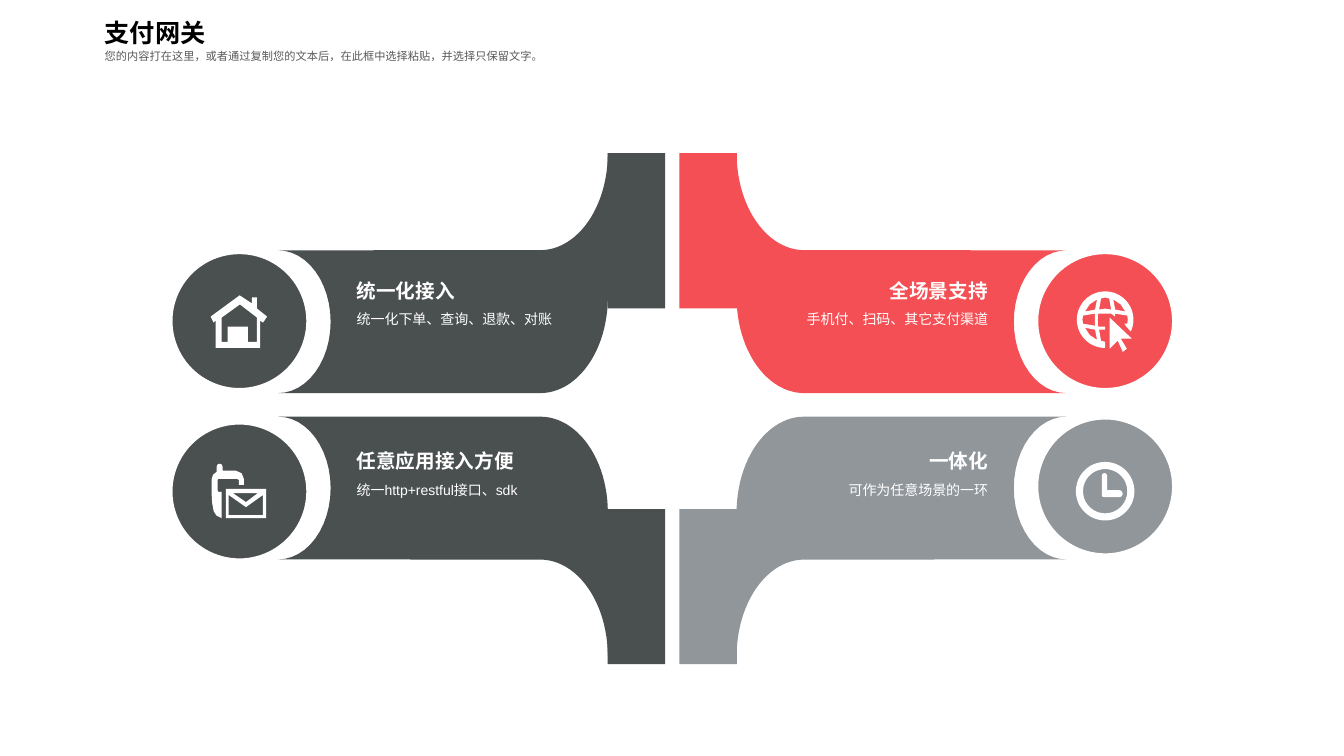
from math import cos, radians, sin

from lxml import etree
from pptx import Presentation
from pptx.dml.color import RGBColor
from pptx.enum.shapes import MSO_SHAPE
from pptx.enum.text import MSO_ANCHOR, PP_ALIGN
from pptx.oxml.ns import qn
from pptx.util import Pt

RECTANGLE = MSO_SHAPE.RECTANGLE
OVAL = MSO_SHAPE.OVAL
TOP = MSO_ANCHOR.TOP
MIDDLE = MSO_ANCHOR.MIDDLE
LEFT = PP_ALIGN.LEFT
RIGHT = PP_ALIGN.RIGHT

WHITE = RGBColor(0xFF, 0xFF, 0xFF)
BLACK = RGBColor(0x00, 0x00, 0x00)
GRAY_TEXT = RGBColor(0x59, 0x59, 0x59)
DARK = RGBColor(0x4A, 0x4F, 0x4F)
RED = RGBColor(0xF4, 0x4F, 0x54)
GRAY = RGBColor(0x91, 0x96, 0x9B)

LATIN = "Arial"
CHINESE = "Noto Sans CJK SC"

CENTER_X, CENTER_Y = 480.2, 289.2
CIRCLE = 100.1


def arc(x, y, radius_x, radius_y, start, end, steps=24):
    angles = [radians(start + (end - start) * i / steps) for i in range(steps + 1)]
    return [(x + radius_x * cos(a), y + radius_y * sin(a)) for a in angles]


RIBBON = (
    arc(94.3, 76.8, 48.3, 68.4, 180, 270)
    + arc(281.5, 59.4, 37.5, 51, 270, 90)
    + arc(94.3, 179.7, 48.3, 69.2, 270, 180)
)

HOUSE = [
    [(19.8, -3.2), (12.6, -9), (12.6, -16.9), (9, -16.9), (9, -12.6), (0.2, -18.4),
     (-20.5, -3.2), (-18.4, 1.1), (-16.9, -0.4), (-16.9, 19.1), (14.8, 19.1),
     (14.8, -0.4), (16.9, 1.1)],
    [(12.6, 14.8), (6.1, 14.8), (6.1, 4), (-8.3, 4), (-8.3, 14.8), (-12.6, 14.8),
     (-12.6, -2.5), (0.4, -11.9), (12.6, -2.5)],
]
ENVELOPE = [
    [(-9.7, -1.8), (-9.7, 19.1), (19.1, 19.1), (19.1, -1.8)],
    [(13.3, 1.1), (4.7, 7.6), (-4.7, 1.1)],
    [(16.9, 16.9), (-7.6, 16.9), (-7.6, 2.5), (4.7, 11.2), (16.9, 2.5)],
]
PHONE = [
    [(-15.5, -0.4), (-15.5, -8.3), (-14.8, -9), (-1.8, -9), (-0.4, -8.3),
     (-0.4, -4.7), (3.2, -4.7), (3.2, -9), (1.6, -13), (-2.5, -14.8),
     (-11.9, -14.8), (-11.9, -17.6), (-12.7, -19.3), (-14.2, -19.8),
     (-15.6, -19.3), (-16.2, -17.6), (-16.2, -14), (-18.8, -12), (-19.8, -9),
     (-19.8, 2.5), (-19.4, 8.5), (-18.4, 14), (-16.4, 17.2), (-12.6, 19.1),
     (-12.6, 0.4), (-14.8, 0.4)],
]
GLOBE = [
    arc(0, 0, 20.2, 20.2, 24.7, -270, 48)
    + [(0, 15.8), (-2.9, 15.1), (-4.3, 7.2), (0, 7.2), (0, 5), (-5, 5), (-5.3, 0),
       (-5, -4.3), (4.3, -4.3), (7.2, -2.2), (7.2, -4.3), (15.8, -2.9), (16.2, 0),
       (15.8, 2.9), (13.7, 2.9), (15.1, 5)],
    [(-5.8, -14.4), (-7.2, -7.2), (-14.4, -5.8), (-11, -11)],
    [(5.8, -14.4), (7.2, -7.2), (14.4, -5.8), (11, -11)],
    [(-5.8, 14.4), (-7.2, 7.2), (-14.4, 5.8), (-11, 11)],
    [(-7.2, 4.3), (-15.8, 2.9), (-16.2, 0), (-15.8, -2.9), (-7.2, -4.3), (-7.4, 0)],
    [(0, -7.9), (-4.3, -7.2), (-2.9, -15.1), (0, -15.8), (2.9, -15.1), (4.3, -7.2)],
]
CURSOR = [
    [(3.2, -2.5), (3.2, 19.8), (9, 14), (12.6, 22), (15.5, 19.8), (11.2, 12.6),
     (19.1, 12.6)],
]
CLOCK_RING = [arc(0, 0, 20.9, 20.9, 0, 360, 60), arc(0, 0, 15.8, 15.8, 0, 360, 60)]
CLOCK_HANDS = [
    arc(-0.5, -11, 1.9, 1.9, 180, 360, 8)
    + arc(10, 1.8, 2.5, 2.5, -90, 90, 8)
    + [(-0.7, 4.3), (-2, 3.8), (-2.4, 2.6)],
]
CLOCK_HANDS[0].insert(9, (1.4, -0.7))

BRANCHES = [
    (-1, -1, DARK, 109.4, 179.3, 195.1, "统一化接入", "统一化下单、查询、退款、对账",
     [(HOUSE, 0)]),
    (-1, 1, DARK, 363.6, 301, 316.8, "任意应用接入方便", "统一http+restful接口、sdk",
     [(ENVELOPE, 0), (PHONE, 0)]),
    (1, -1, RED, 109.4, 179.3, 195.1, "全场景支持", "手机付、扫码、其它支付渠道",
     [(CURSOR, 0), (GLOBE, -1)]),
    (1, 1, GRAY, 363.6, 297.4, 316.8, "一体化", "可作为任意场景的一环",
     [(CLOCK_RING, 3.4), (CLOCK_HANDS, 3.4)]),
]


class SlideBuilder:
    def __init__(self, slide):
        self.slide = slide

    def paint(self, shape, color, outline=None):
        shape.shadow.inherit = False
        shape.fill.solid()
        shape.fill.fore_color.rgb = color
        if outline is None:
            shape.line.fill.background()
        else:
            shape.line.color.rgb = outline
            shape.line.width = Pt(4.5)

    def preset(self, kind, left, top, width, height, color, outline=None):
        shape = self.slide.shapes.add_shape(
            kind, Pt(left), Pt(top), Pt(width), Pt(height))
        self.paint(shape, color, outline)

    def outline(self, contours, x, y, color, flip_x=1, flip_y=1):
        placed = [[(Pt(x + flip_x * dx), Pt(y + flip_y * dy)) for dx, dy in contour]
                  for contour in contours]
        builder = self.slide.shapes.build_freeform(*placed[0][0])
        for index, contour in enumerate(placed):
            if index:
                builder.move_to(*contour[0])
            builder.add_line_segments(contour[1:], close=True)
        self.paint(builder.convert_to_shape(), color)

    def text(self, text, left, top, width, height, size, color, font=LATIN, bold=False,
             align=LEFT, anchor=TOP, spacing=1.0, insets=(7.2, 3.6, 7.2, 3.6)):
        shape = self.slide.shapes.add_textbox(Pt(left), Pt(top), Pt(width), Pt(height))
        frame = shape.text_frame
        frame.word_wrap = True
        frame.vertical_anchor = anchor
        frame.margin_left, frame.margin_top, frame.margin_right, frame.margin_bottom = (
            Pt(inset) for inset in insets)
        frame.text = text
        paragraph = frame.paragraphs[0]
        paragraph.alignment = align
        paragraph.line_spacing = spacing
        run = paragraph.runs[0]
        run.font.name = font
        run.font.size = Pt(size)
        run.font.bold = bold
        run.font.color.rgb = color
        east_asian = etree.SubElement(run.font._element, qn("a:ea"))
        east_asian.set("typeface", CHINESE)

    def branch(self, side, level, color, bar_top, circle_top, heading_top,
               heading, body, icons):
        self.outline([RIBBON], CENTER_X, CENTER_Y, color, side, level)
        bar_left = CENTER_X + 5 if side > 0 else CENTER_X - 46.2
        self.preset(RECTANGLE, bar_left, bar_top, 41.2, 110.9, color)

        circle_x = CENTER_X + side * 309.2
        circle_y = circle_top + CIRCLE / 2
        self.preset(OVAL, circle_x - CIRCLE / 2, circle_top, CIRCLE, CIRCLE, color, WHITE)
        for contours, shift in icons:
            self.outline(contours, circle_x, circle_y + shift, WHITE)

        left, width, align, insets = (
            (509.8, 229.7, RIGHT, (28.1, 0, 33.8, 0)) if side > 0
            else (221, 226.8, LEFT, (33.8, 0, 28.1, 0)))
        self.text(heading, left, heading_top, width, 24.5, 14, WHITE, bold=True,
                  align=align, anchor=MIDDLE, insets=insets)
        self.text(body, left, heading_top + 24.5, width, 43.9, 10, WHITE,
                  align=align, spacing=1.2, insets=insets)


def main():
    presentation = Presentation()
    presentation.slide_width = Pt(960)
    presentation.slide_height = Pt(540)
    slide = presentation.slides.add_slide(presentation.slide_layouts[6])
    builder = SlideBuilder(slide)
    for branch in BRANCHES:
        builder.branch(*branch)
    builder.text("支付网关", 67.7, 2.2, 256.3, 35.3, 18, BLACK, CHINESE, True, spacing=1.3)
    builder.text("您的内容打在这里，或者通过复制您的文本后，在此框中选择粘贴，并选择只保留文字。",
                 67.7, 26.6, 450.7, 21.6, 8, GRAY_TEXT, CHINESE, spacing=1.5)
    presentation.save("out.pptx")


if __name__ == "__main__":
    main()
